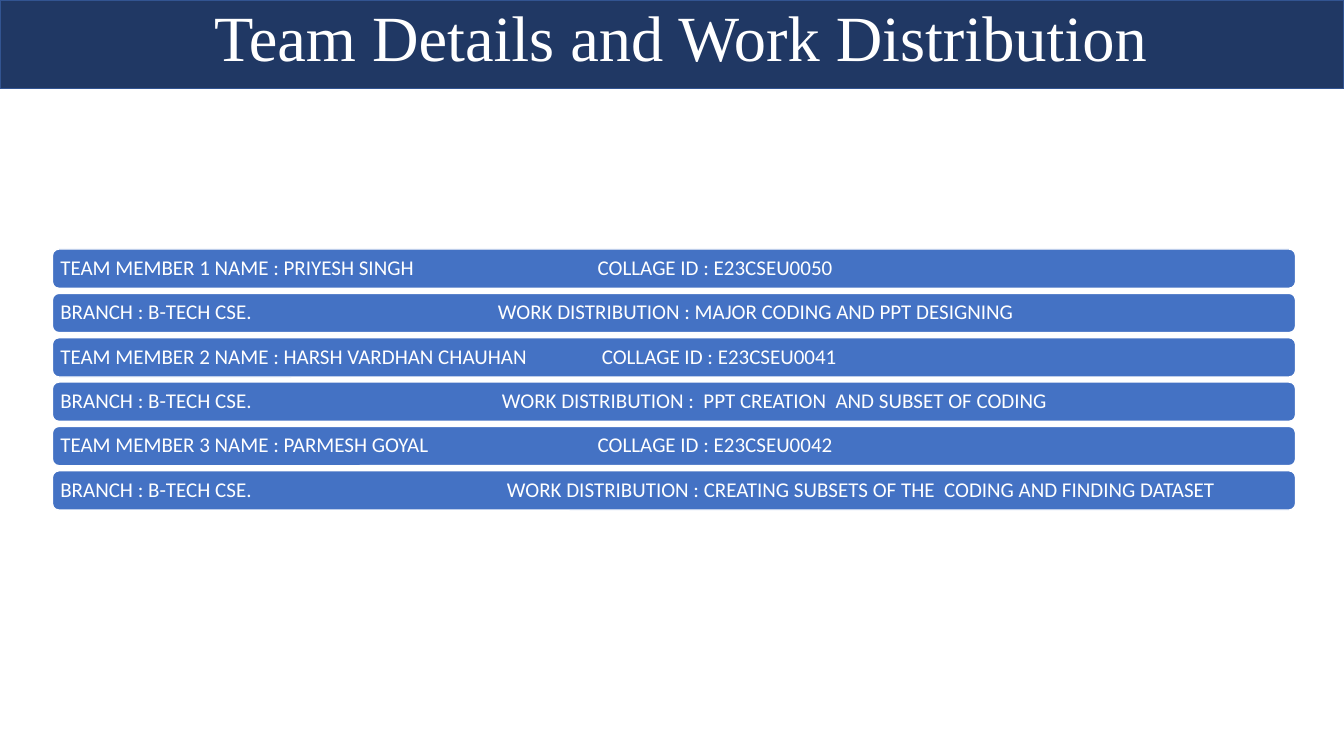
from lxml.etree import SubElement
from pptx import Presentation
from pptx.dml.color import RGBColor
from pptx.enum.shapes import MSO_SHAPE as Shape
from pptx.enum.text import MSO_ANCHOR as Anchor, PP_ALIGN as Align
from pptx.oxml.ns import qn
from pptx.util import Inches, Pt

NAVY = RGBColor(0x20, 0x38, 0x64)
NAVY_EDGE = RGBColor(0x32, 0x54, 0x91)
BLUE = RGBColor(0x44, 0x72, 0xC4)
WHITE = RGBColor(0xFF, 0xFF, 0xFF)

SLIDE_WIDTH = 13.33
BAR_HEIGHT = 0.39
BAR_PITCH = 0.44
BAR_INSET = 0.06

TEAM_ROWS = [
    ("TEAM MEMBER 1 NAME : PRIYESH SINGH", "COLLAGE ID : E23CSEU0050", 5.33),
    ("BRANCH : B-TECH CSE.", "WORK DISTRIBUTION : MAJOR CODING AND PPT DESIGNING", 4.34),
    ("TEAM MEMBER 2 NAME : HARSH VARDHAN CHAUHAN", "COLLAGE ID : E23CSEU0041", 5.37),
    ("BRANCH : B-TECH CSE.", "WORK DISTRIBUTION :  PPT CREATION  AND SUBSET OF CODING", 4.38),
    ("TEAM MEMBER 3 NAME : PARMESH GOYAL", "COLLAGE ID : E23CSEU0042", 5.33),
    ("BRANCH : B-TECH CSE.",
     "WORK DISTRIBUTION : CREATING SUBSETS OF THE  CODING AND FINDING DATASET", 4.43),
]


def add_panel(slide, kind, left, top, width, height, fill, line):
    """Add a filled preset shape with a one-point outline and no shadow."""
    shape = slide.shapes.add_shape(
        kind, Inches(left), Inches(top), Inches(width), Inches(height))
    shape.shadow.inherit = False
    shape.fill.solid()
    shape.fill.fore_color.rgb = fill
    shape.line.color.rgb = line
    shape.line.width = Pt(1)
    return shape


def style_paragraph(paragraph, font_name, size, align):
    """Set the white font, alignment and tight line spacing of a paragraph."""
    paragraph.alignment = align
    paragraph.line_spacing = 0.9
    paragraph.font.name = font_name
    paragraph.font.size = Pt(size)
    paragraph.font.color.rgb = WHITE


def add_tab_stop(paragraph, position):
    """Add a left tab stop to a paragraph."""
    tab_list = SubElement(paragraph._p.get_or_add_pPr(), qn("a:tabLst"))
    SubElement(tab_list, qn("a:tab"), pos=str(Inches(position)), algn="l")


def add_title_band(slide, left, top, width, height):
    """Draw the navy band with the slide title."""
    add_panel(slide, Shape.RECTANGLE, left, top, width, height, NAVY, NAVY_EDGE)
    title = slide.shapes.add_textbox(
        Inches(left + 1), Inches(top), Inches(11.5), Inches(height - 0.08))
    frame = title.text_frame
    frame.word_wrap = True
    frame.vertical_anchor = Anchor.BOTTOM
    paragraph = frame.paragraphs[0]
    paragraph.text = "Team Details and Work Distribution"
    style_paragraph(paragraph, "Times New Roman", 46, Align.CENTER)
    paragraph.space_after = Pt(6)


def add_team_bars(slide, left, top, width):
    """Stack one rounded bar per row of team details."""
    for index, (label, detail, tab_position) in enumerate(TEAM_ROWS):
        bar = add_panel(slide, Shape.ROUNDED_RECTANGLE, left, top + index * BAR_PITCH,
                        width, BAR_HEIGHT, BLUE, WHITE)
        frame = bar.text_frame
        frame.word_wrap = True
        frame.vertical_anchor = Anchor.MIDDLE
        frame.margin_left = frame.margin_right = Inches(BAR_INSET)
        frame.margin_top = frame.margin_bottom = Inches(BAR_INSET)
        paragraph = frame.paragraphs[0]
        paragraph.text = f"{label}\t{detail}"
        add_tab_stop(paragraph, tab_position)
        style_paragraph(paragraph, "Calibri", 15, Align.LEFT)


def main():
    """Build and save the team slide."""
    presentation = Presentation()
    presentation.slide_width = Inches(SLIDE_WIDTH)
    presentation.slide_height = Inches(7.5)
    slide = presentation.slides.add_slide(presentation.slide_layouts[6])
    add_title_band(slide, 0, 0, SLIDE_WIDTH, 0.88)
    add_team_bars(slide, 0.52, 2.47, 12.33)
    presentation.save("out.pptx")


if __name__ == "__main__":
    main()
